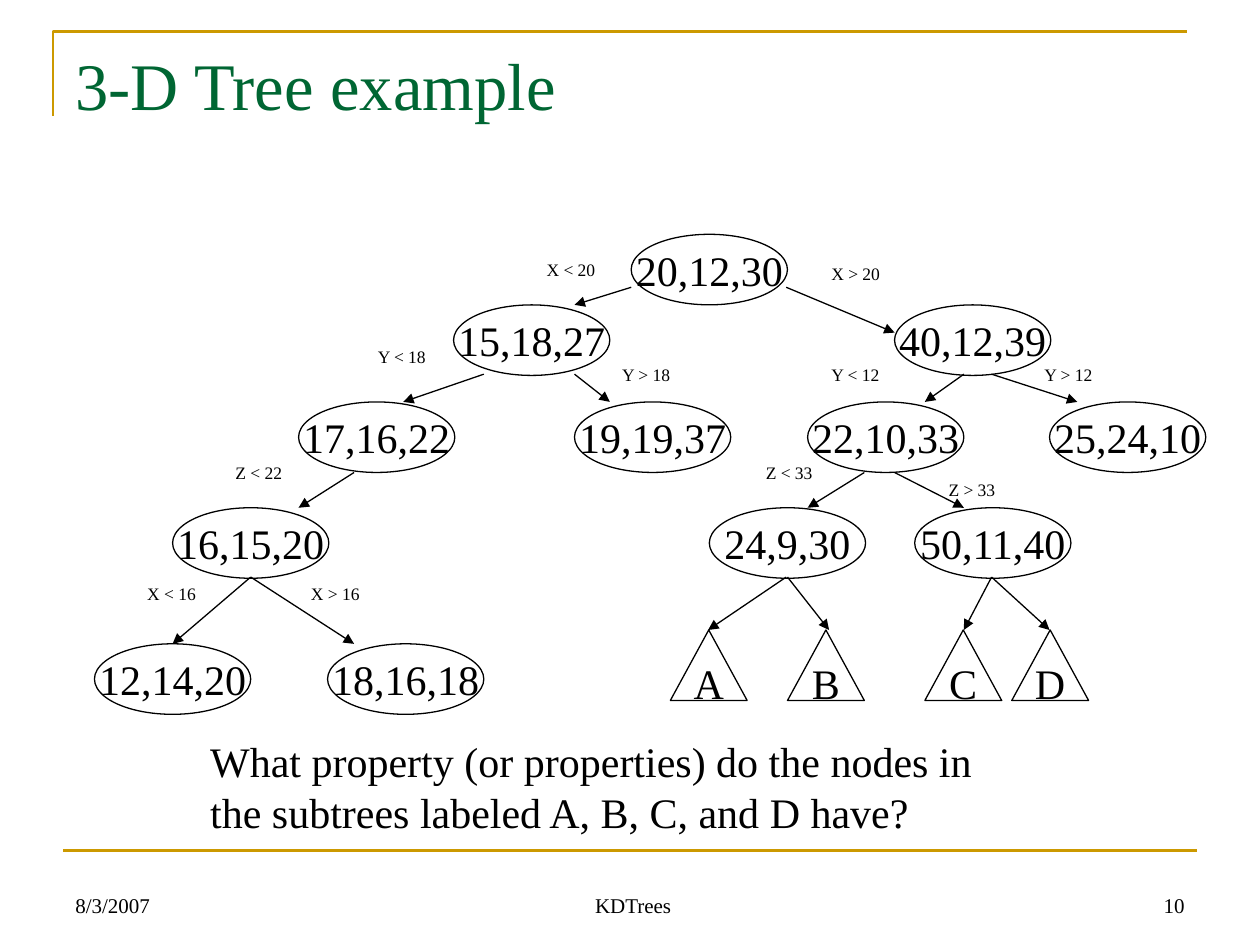
"""Build a slide showing a 3-D tree with labelled splits and four subtrees."""
from lxml import etree
from pptx import Presentation
from pptx import util as u
from pptx.dml import color
from pptx.enum import shapes, text
from pptx.oxml import ns


def rgb(value):
    return color.RGBColor.from_string(value)


class TreeSlide:
    FONT = "Times New Roman"
    INK = "000000"
    GOLD = "CC9900"
    GREEN = "006633"

    def __init__(self, slide):
        self.slide = slide

    def fill_frame(self, frame, content, size, ink, align, anchor, wrap):
        frame.word_wrap = wrap
        frame.vertical_anchor = anchor
        frame.margin_left = frame.margin_right = u.Inches(0.1)
        frame.margin_top = frame.margin_bottom = u.Inches(0.05)
        paragraph = frame.paragraphs[0]
        paragraph.text = content
        paragraph.alignment = align
        paragraph.font.name = self.FONT
        paragraph.font.size = u.Pt(size)
        paragraph.font.color.rgb = rgb(ink)
        return paragraph

    def label(self, content, box, size, ink=INK, align=text.PP_ALIGN.LEFT,
              anchor=text.MSO_ANCHOR.TOP, before=0):
        shape = self.slide.shapes.add_textbox(*map(u.Inches, box))
        paragraph = self.fill_frame(shape.text_frame, content, size, ink, align, anchor, True)
        paragraph.space_before = u.Pt(before)

    def node(self, kind, content, left, top, width, height=0.56):
        box = map(u.Inches, (left, top, width, height))
        shape = self.slide.shapes.add_shape(kind, *box)
        shape.shadow.inherit = False
        shape.fill.background()
        shape.line.color.rgb = rgb(self.INK)
        shape.line.width = u.Pt(0.75)
        self.fill_frame(shape.text_frame, content, 24, self.INK,
                        text.PP_ALIGN.CENTER, text.MSO_ANCHOR.MIDDLE, False)

    def line(self, start, end, ink=INK, width=0.75, arrow=True):
        connector = self.slide.shapes.add_connector(
            shapes.MSO_CONNECTOR.STRAIGHT, *map(u.Inches, (*start, *end)))
        connector.line.color.rgb = rgb(ink)
        connector.line.width = u.Pt(width)
        properties = connector.element.spPr
        if arrow:
            outline = properties.find(ns.qn("a:ln"))
            etree.SubElement(outline, ns.qn("a:tailEnd"), type="triangle")
        etree.SubElement(properties, ns.qn("a:effectLst"))

    def corner(self, *points):
        first, *rest = [tuple(map(u.Inches, point)) for point in points]
        builder = self.slide.shapes.build_freeform(*first)
        builder.add_line_segments(rest, close=False)
        shape = builder.convert_to_shape()
        shape.shadow.inherit = False
        shape.fill.background()
        shape.line.color.rgb = rgb(self.GOLD)
        shape.line.width = u.Pt(1.5)


NODE_ROWS = {
    1.86: [("20,12,30", 5.01)],
    2.42: [("15,18,27", 3.6), ("40,12,39", 7.1)],
    3.19: [("17,16,22", 2.37), ("19,19,37", 4.56), ("22,10,33", 6.41), ("25,24,10", 8.33)],
    4.03: [("16,15,20", 1.37), ("24,9,30", 5.63), ("50,11,40", 7.26)],
    5.11: [("12,14,20", 0.75), ("18,16,18", 2.6)],
}
SUBTREES = [("A", 5.32), ("B", 6.25), ("C", 7.34), ("D", 8.03)]
ARROW_ROWS = {
    (2.28, 2.42): [(5.01, 4.56)],
    (2.28, 2.64): [(6.24, 7.1)],
    (2.97, 3.19): [(3.84, 3.2), (4.56, 4.84), (7.65, 7.34), (7.87, 8.55)],
    (3.75, 4.03): [(2.81, 2.37), (6.86, 6.41), (7.1, 7.65)],
    (4.58, 5.11): [(1.99, 1.37), (1.99, 2.81)],
    (4.58, 5): [(6.24, 5.62), (6.25, 6.58), (7.87, 7.65), (7.87, 8.33)],
}
SPLITS = [
    ("X < 20", 4.24, 2.01), ("X > 20", 6.5, 2.04),
    ("Y < 18", 2.9, 2.7), ("Y > 18", 4.84, 2.84),
    ("Y < 12", 6.5, 2.84), ("Y > 12", 8.19, 2.84),
    ("Z < 22", 1.77, 3.62), ("Z < 33", 5.98, 3.62), ("Z > 33", 7.43, 3.75),
    ("X < 16", 1.07, 4.58), ("X > 16", 2.37, 4.58),
]
FOOTERS = [
    ("8/3/2007", 0.5, 2.33, text.PP_ALIGN.LEFT),
    (" KDTrees", 3.42, 3.17, text.PP_ALIGN.CENTER),
    ("10", 7.17, 2.33, text.PP_ALIGN.RIGHT),
]
QUESTION = ("What property (or properties) do the nodes in "
            "the subtrees labeled A, B, C, and D have?")


def main():
    presentation = Presentation()
    presentation.slide_width = u.Inches(10)
    presentation.slide_height = u.Inches(7.5)
    tree = TreeSlide(presentation.slides.add_slide(presentation.slide_layouts[6]))

    tree.corner((0.42, 0.92), (0.42, 0.25), (9.42, 0.25))
    tree.line((0.5, 6.75), (9.5, 6.75), tree.GOLD, 1.5, arrow=False)
    for content, left, width, align in FOOTERS:
        tree.label(content, (left, 6.83, width, 0.5), 12, align=align,
                   anchor=text.MSO_ANCHOR.BOTTOM)
    tree.label("3-D Tree example", (0.5, 0.3, 9, 1.25), 38, tree.GREEN)

    for top, nodes in NODE_ROWS.items():
        for content, left in nodes:
            tree.node(shapes.MSO_SHAPE.OVAL, content, left, top, 1.24)
    for content, left in SUBTREES:
        tree.node(shapes.MSO_SHAPE.ISOSCELES_TRIANGLE, content, left, 5, 0.61)
    for (top, bottom), arrows in ARROW_ROWS.items():
        for start, end in arrows:
            tree.line((start, top), (end, bottom))
    for content, left, top in SPLITS:
        tree.label(content, (left, top, 0.6, 0.27), 10, before=6.2)
    tree.label(QUESTION, (1.57, 5.79, 6.45, 0.9), 24, before=15)

    presentation.save("out.pptx")


if __name__ == "__main__":
    main()
